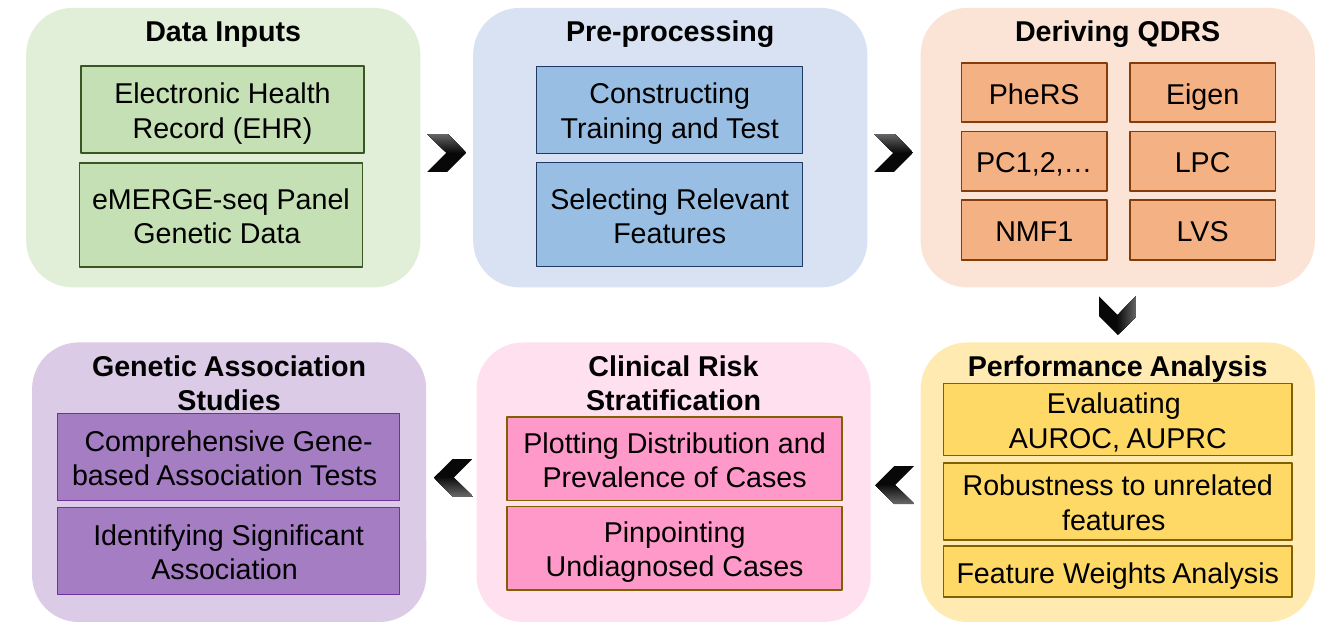
from pptx import Presentation
from pptx.util import Pt
from pptx.dml.color import RGBColor as RGB
from pptx.enum.shapes import MSO_SHAPE as SHAPE
from pptx.enum.text import MSO_ANCHOR as ANCHOR, PP_ALIGN as ALIGN
from pptx.oxml.ns import qn
from lxml import etree

# Theme: (fill, opacity %) for panels; (fill, opacity %, line, weight) for boxes
THEME = {
    "font": "Arial", "size": 18, "text": "000000",
    "chevron": ("080808", "666666"),
    "green": {"panel": ("C5E0B4", 50), "box": ("C5E0B4", 100, "385723", 1)},
    "blue": {"panel": ("B4C7E7", 50), "box": ("5B9BD5", 50, "203864", 0.75)},
    "orange": {"panel": ("F8CBAD", 50), "box": ("F4B183", 100, "843C0B", 1)},
    "purple": {"panel": ("7030A0", 25), "box": ("7030A0", 50, "7030A0", 0.75)},
    "pink": {"panel": ("FF2F92", 15), "box": ("FF2F92", 40, "806000", 1)},
    "yellow": {"panel": ("FFD966", 50), "box": ("FFD966", 100, "806000", 1)},
}
PANEL_W, PANEL_H = 247.7, 175.7
TOP, BOTTOM = 5, 215.3

prs = Presentation()
prs.slide_width, prs.slide_height = Pt(844.6), Pt(396)
s = prs.slides.add_slide(prs.slide_layouts[6])


def add_block(kind, x, y, w, h, color, opacity=100, line=None, weight=1):
    sp = s.shapes.add_shape(kind, Pt(x), Pt(y), Pt(w), Pt(h))
    sp.shadow.inherit = False
    sp.fill.solid()
    sp.fill.fore_color.rgb = RGB.from_string(color)
    if opacity < 100:
        clr = sp.fill._xPr.find(".//" + qn("a:srgbClr"))
        etree.SubElement(clr, qn("a:alpha"), val=str(opacity * 1000))
    if line:
        sp.line.color.rgb = RGB.from_string(line)
        sp.line.width = Pt(weight)
    else:
        sp.line.fill.background()
    return sp


def write(sp, text, bold=False, anchor=ANCHOR.MIDDLE, inset=(7.2, 3.6)):
    tf = sp.text_frame
    tf.word_wrap = True
    tf.vertical_anchor = anchor
    tf.margin_left = tf.margin_right = Pt(inset[0])
    tf.margin_top = tf.margin_bottom = Pt(inset[1])
    tf.text = text
    for p in tf.paragraphs:
        p.alignment = ALIGN.CENTER
        p.font.name = THEME["font"]
        p.font.size = Pt(THEME["size"])
        p.font.bold = bold
        p.font.color.rgb = RGB.from_string(THEME["text"])


# Panels: heading, colour, left, top, boxes (text, left, top, width, height)
scores = [["PheRS", "Eigen"], ["PC1,2,…", "LPC"], ["NMF1", "LVS"]]
score_boxes = [(name, 604.3 + 105.8 * col, 39.5 + 43.2 * row, 91.4, 37.4)
               for row, names in enumerate(scores)
               for col, name in enumerate(names)]
panels = [
    ("Data Inputs", "green", 16.5, TOP, [
        ("Electronic Health Record (EHR)", 51, 41.6, 177.8, 54.7),
        ("eMERGE-seq Panel Genetic Data ", 50, 102.4, 177.8, 65.4)]),
    ("Pre-processing", "blue", 297.4, TOP, [
        ("Constructing Training and Test", 337.4, 41.6, 167, 54.7),
        ("Selecting Relevant Features", 337.4, 102.4, 167, 65.4)]),
    ("Deriving QDRS", "orange", 578.6, TOP, score_boxes),
    ("Performance Analysis", "yellow", 578.6, BOTTOM, [
        ("Evaluating \nAUROC, AUPRC", 593, 241, 219, 45.4),
        ("Robustness to unrelated features ", 593, 291, 219, 48.5),
        ("Feature Weights Analysis", 593, 343.3, 219, 32)]),
    ("Clinical Risk Stratification", "pink", 299.5, BOTTOM, [
        ("Plotting Distribution and Prevalence of Cases",
         318.8, 262.2, 210.4, 52.5),
        ("Pinpointing Undiagnosed Cases", 318.8, 318.4, 210.4, 52.5)]),
    ("Genetic Association Studies", "purple", 20.2, BOTTOM, [
        ("Comprehensive Gene-based Association Tests ",
         36, 260, 215.3, 54.7),
        ("Identifying Significant Association ", 36, 319, 215.3, 54.7)]),
]
for heading, color, x, y, boxes in panels:
    style = THEME[color]
    add_block(SHAPE.ROUNDED_RECTANGLE, x, y, PANEL_W, PANEL_H, *style["panel"])
    title = s.shapes.add_textbox(Pt(x), Pt(y + 3.1), Pt(PANEL_W), Pt(42))
    write(title, heading, bold=True, anchor=ANCHOR.TOP, inset=(16, 0))
    for text, *place in boxes:
        write(add_block(SHAPE.RECTANGLE, *place, *style["box"]), text)

# Chevrons between panels: left, top, rotation
dark, light = THEME["chevron"]
for x, y, turn in [(268.6, 84.2, 0), (549.4, 84.2, 0), (690.2, 186.4, 90),
                   (550, 293, 180), (272.7, 288.3, 180)]:
    sp = add_block(SHAPE.CHEVRON, x, y, 24.4, 23.8, dark)
    sp.rotation = turn
    sp.fill.gradient()
    sp.fill.gradient_angle = 90
    for stop, position, tone in zip(sp.fill.gradient_stops, (0.48, 1),
                                    (dark, light)):
        stop.position = position
        stop.color.rgb = RGB.from_string(tone)

prs.save("out.pptx")
